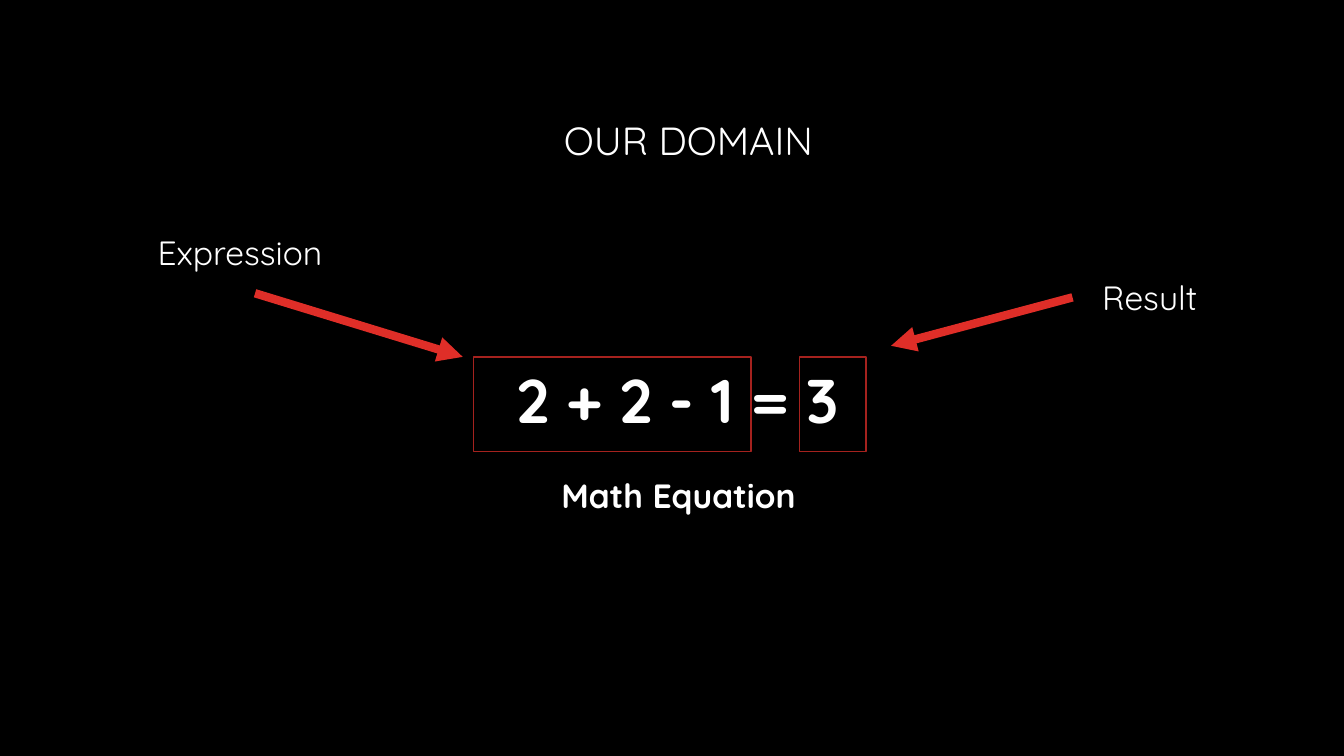
from dataclasses import dataclass

from lxml import etree
from pptx import Presentation, util as u
from pptx.dml.color import RGBColor
from pptx.enum import shapes, text
from pptx.oxml.ns import qn


@dataclass(frozen=True)
class Theme:
    font: str = "Quicksand"
    background: RGBColor = RGBColor(0, 0, 0)
    ink: RGBColor = RGBColor(255, 255, 255)
    arrow: RGBColor = RGBColor(0xDF, 0x2E, 0x28)
    frame: RGBColor = RGBColor(0xA5, 0x22, 0x1E)
    title: int = 28
    equation: int = 44
    label: int = 24


theme = Theme()
deck = Presentation()
deck.slide_width, deck.slide_height = u.Pt(960), u.Pt(540)
page = deck.slides.add_slide(deck.slide_layouts[6])
page.background.fill.solid()
page.background.fill.fore_color.rgb = theme.background


def add_text(wording, left, top, width, height, size, bold=False):
    box = page.shapes.add_textbox(u.Pt(left), u.Pt(top), u.Pt(width), u.Pt(height))
    frame = box.text_frame
    frame.word_wrap = True
    frame.text = wording
    para = frame.paragraphs[0]
    para.alignment = text.PP_ALIGN.CENTER
    span = para.runs[0]
    span.font.name = theme.font
    span.font.size = u.Pt(size)
    span.font.bold = bold
    span.font.color.rgb = theme.ink
    return frame


def add_arrow(start_x, start_y, end_x, end_y):
    arrow = page.shapes.add_connector(
        shapes.MSO_CONNECTOR.STRAIGHT,
        u.Pt(start_x), u.Pt(start_y), u.Pt(end_x), u.Pt(end_y),
    )
    arrow.line.color.rgb = theme.arrow
    arrow.line.width = u.Pt(6)
    etree.SubElement(arrow.line._get_or_add_ln(), qn("a:tailEnd"), type="triangle")
    etree.SubElement(arrow._element.spPr, qn("a:effectLst"))


add_arrow(182.2, 209.5, 330.5, 254.9)

for wording, left, top, width, height, size, bold in [
    ("2 + 2 - 1 = 3", 267.1, 254.9, 434.2, 60.5, theme.equation, True),
    ("Math Equation", 308.9, 335.5, 351.4, 36, theme.label, True),
]:
    frame = add_text(wording, left, top, width, height, size, bold)
    frame.auto_size = text.MSO_AUTO_SIZE.SHAPE_TO_FIT_TEXT

for left, width in [(338.4, 198), (571, 47.5)]:
    outline = page.shapes.add_shape(
        shapes.MSO_SHAPE.RECTANGLE, u.Pt(left), u.Pt(254.9), u.Pt(width), u.Pt(67.7)
    )
    outline.shadow.inherit = False
    outline.fill.background()
    outline.line.color.rgb = theme.frame
    outline.line.width = u.Pt(1)

add_arrow(766.1, 212.4, 636.5, 247)

for wording, left, top, width in [
    ("Expression", 38.2, 162, 266.4),
    ("Result", 754.6, 194.4, 133.2),
]:
    frame = add_text(wording, left, top, width, 36, theme.label)
    frame.auto_size = text.MSO_AUTO_SIZE.SHAPE_TO_FIT_TEXT

title = add_text("OUR DOMAIN", 152.6, 51.1, 678.2, 101.5, theme.title)
title.vertical_anchor = text.MSO_ANCHOR.MIDDLE
title.paragraphs[0].line_spacing = 0.9

deck.save("out.pptx")
